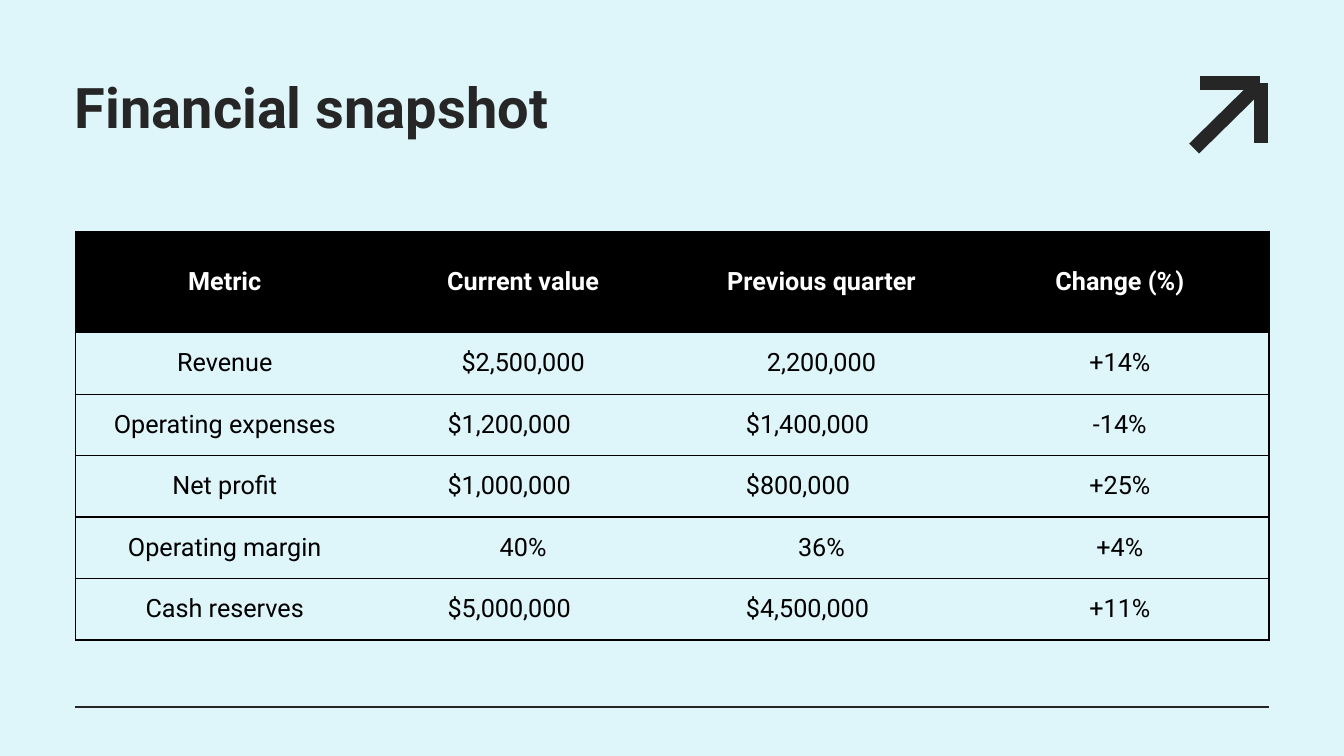
from dataclasses import dataclass

from lxml.etree import SubElement
from pptx import Presentation
from pptx.dml.color import RGBColor
from pptx.enum.shapes import MSO_CONNECTOR as Connector
from pptx.enum.text import MSO_ANCHOR as Anchor, MSO_AUTO_SIZE as AutoSize, PP_ALIGN as Align
from pptx.oxml.ns import qn
from pptx.util import Pt

FONT = "Roboto"
INK = "262626"
BLACK = "000000"
WHITE = "FFFFFF"
PALE_BLUE = "DEF5FA"

HEADER_HEIGHT = 72
ROW_HEIGHT = 43.92
COLUMN_WIDTH = 213.12
BORDER_WIDTH = 1

METRICS = [
    ("Metric", "Current value", "Previous quarter", "Change (%)"),
    ("Revenue", "$2,500,000", "2,200,000", "+14%"),
    ("Operating expenses", "$1,200,000\t", "$1,400,000\t", "-14%"),
    ("Net profit", "$1,000,000\t", "$800,000\t", "+25%"),
    ("Operating margin", "40%", "36%", "+4%"),
    ("Cash reserves", "$5,000,000\t", "$4,500,000\t", "+11%"),
]


@dataclass(frozen=True)
class Stroke:
    x1: float
    y1: float
    x2: float
    y2: float
    width: float


ARROW = [
    Stroke(856.8, 59.3, 900, 59.3, 10),
    Stroke(900.7, 59.3, 900.7, 102.2, 10),
    Stroke(853, 106.1, 896, 63.8, 10),
]
FOOTER_RULE = Stroke(53.7, 505, 906.1, 505, 1.5)


def color(value: str) -> RGBColor:
    return RGBColor.from_string(value)


def format_font(paragraph, size: float, value: str, bold: bool) -> None:
    for run in paragraph.runs:
        run.font.name = FONT
        run.font.size = Pt(size)
        run.font.bold = bold
        run.font.color.rgb = color(value)


def draw_stroke(shapes, stroke: Stroke) -> None:
    connector = shapes.add_connector(
        Connector.STRAIGHT, Pt(stroke.x1), Pt(stroke.y1), Pt(stroke.x2), Pt(stroke.y2)
    )
    connector.line.width = Pt(stroke.width)
    connector.line.color.rgb = color(INK)
    SubElement(connector._element.spPr, qn("a:effectLst"))


def draw_title(slide) -> None:
    title = slide.shapes.title
    title.left, title.top, title.width, title.height = Pt(53.5), Pt(54.7), Pt(792), Pt(100.8)
    frame = title.text_frame
    frame.text = "Financial snapshot"
    frame.word_wrap = True
    frame.auto_size = AutoSize.NONE
    frame.vertical_anchor = Anchor.TOP
    frame.margin_left = frame.margin_top = frame.margin_right = 0
    frame.margin_bottom = Pt(7.2)
    paragraph = frame.paragraphs[0]
    paragraph.alignment = Align.LEFT
    paragraph.line_spacing = Pt(45)
    format_font(paragraph, 40, INK, True)


def set_borders(cell, visible: dict[str, bool]) -> None:
    properties = cell._tc.get_or_add_tcPr()
    for side, shown in visible.items():
        line = SubElement(properties, qn(f"a:ln{side}"), w=str(Pt(BORDER_WIDTH)))
        if shown:
            fill = SubElement(line, qn("a:solidFill"))
            SubElement(fill, qn("a:srgbClr"), val=BLACK)
        else:
            SubElement(line, qn("a:noFill"))


def draw_table(slide) -> None:
    row_count, column_count = len(METRICS), len(METRICS[0])
    height = HEADER_HEIGHT + ROW_HEIGHT * (row_count - 1)
    table = slide.shapes.add_table(
        row_count, column_count, Pt(54), Pt(165.6), Pt(COLUMN_WIDTH * column_count), Pt(height)
    ).table
    table.horz_banding = False
    for column in table.columns:
        column.width = Pt(COLUMN_WIDTH)
    for row_index, values in enumerate(METRICS):
        header = row_index == 0
        table.rows[row_index].height = Pt(HEADER_HEIGHT if header else ROW_HEIGHT)
        for column_index, value in enumerate(values):
            cell = table.cell(row_index, column_index)
            set_borders(cell, {
                "L": column_index == 0,
                "R": column_index == column_count - 1,
                "T": True,
                "B": True,
            })
            if header:
                cell.fill.solid()
                cell.fill.fore_color.rgb = color(BLACK)
            else:
                cell.fill.background()
            cell.vertical_anchor = Anchor.MIDDLE
            cell.text_frame.text = value
            paragraph = cell.text_frame.paragraphs[0]
            paragraph.alignment = Align.CENTER
            format_font(paragraph, 18, WHITE if header else BLACK, header)


def main() -> None:
    presentation = Presentation()
    presentation.slide_width, presentation.slide_height = Pt(960), Pt(540)
    slide = presentation.slides.add_slide(presentation.slide_layouts.get_by_name("Title Only"))
    slide.background.fill.solid()
    slide.background.fill.fore_color.rgb = color(PALE_BLUE)
    arrow = slide.shapes.add_group_shape()
    for stroke in ARROW:
        draw_stroke(arrow.shapes, stroke)
    draw_stroke(slide.shapes, FOOTER_RULE)
    draw_title(slide)
    draw_table(slide)
    presentation.save("out.pptx")


if __name__ == "__main__":
    main()
